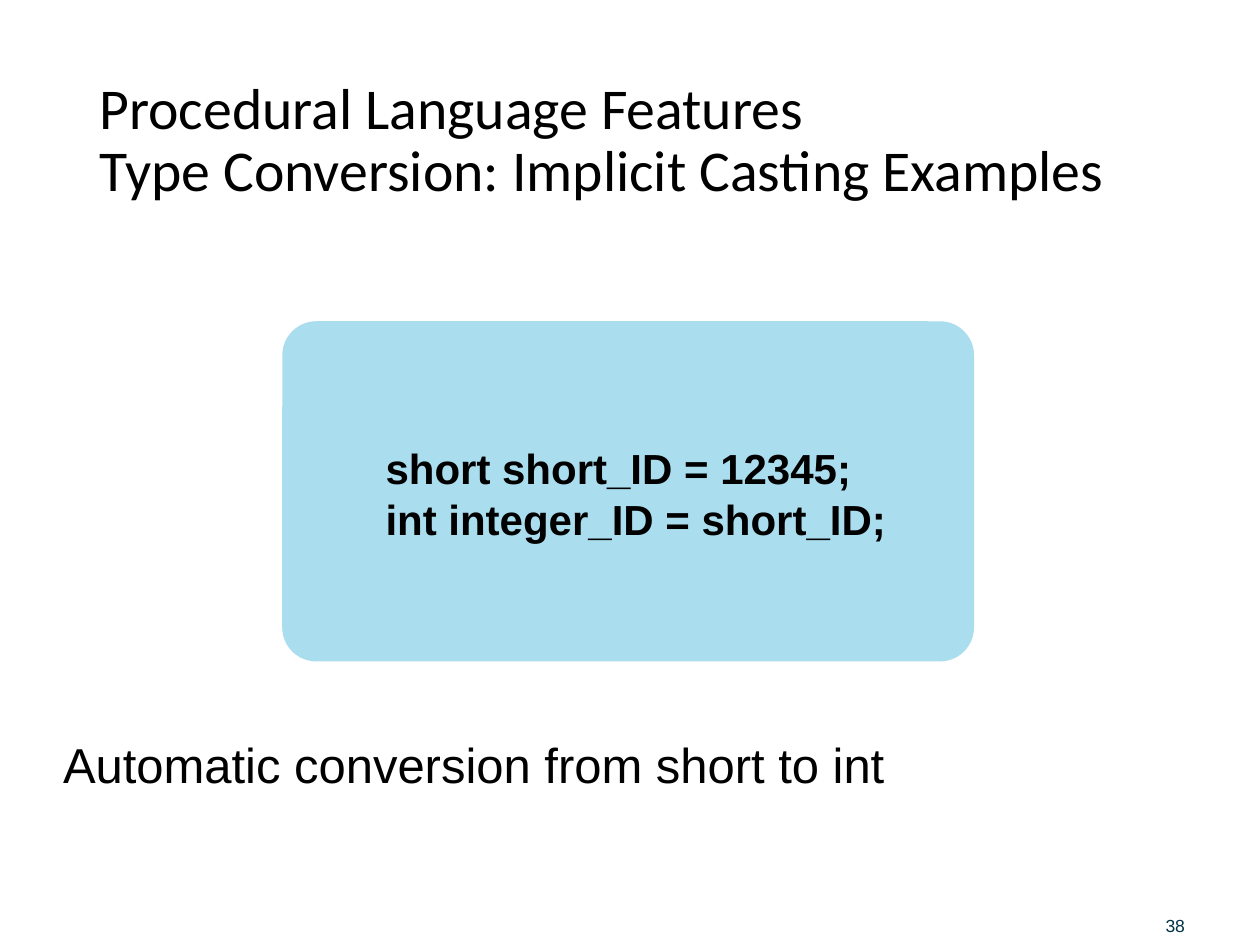
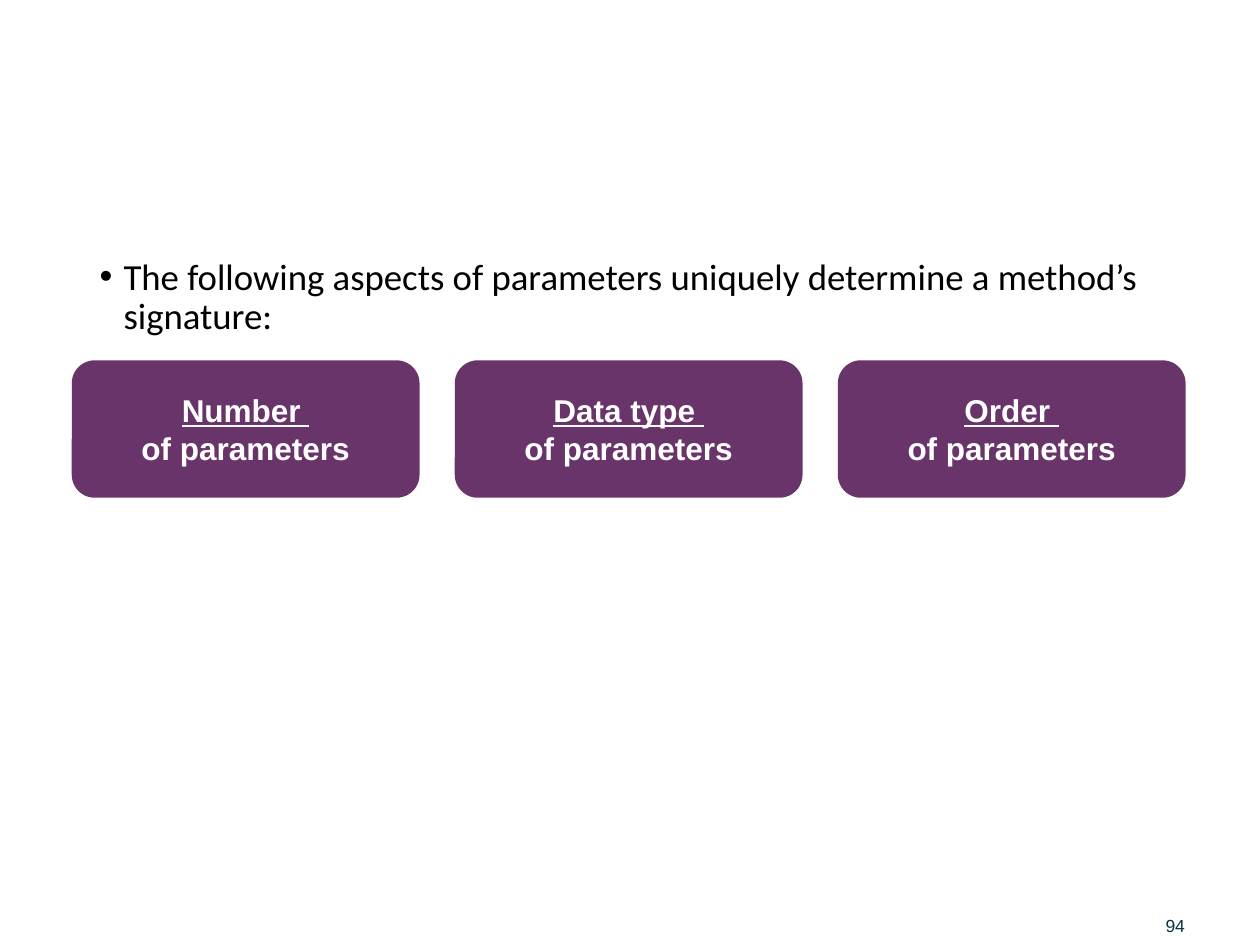
import pptx
import pptx.dml.color
import pptx.enum.shapes
import pptx.enum.text
import pptx.oxml
import pptx.oxml.ns
import pptx.util

# Content
CASTING = {
    "title": "Procedural Language Features\vType Conversion: Implicit Casting Examples",
    "code": ["short short_ID = 12345;", "int integer_ID = short_ID;"],
    "caption": "Automatic conversion from short to int",
    "number": "38",
}
SIGNATURE = {
    "lead": "The following aspects of parameters uniquely determine a method’s signature:",
    "aspects": ["Number ", "Data type ", "Order "],
    "aspect_of": "of parameters",
    "number": "94",
}

# Shared look
COLORS = {"text": "000000", "code": "AADDEE", "card": "440244",
          "card_text": "FFFFFF", "number": "003344"}
HEADING_FONT, TEXT_FONT = "Calibri", "Arial"
CARD_OPACITY = 80
EMU_PER_PX = 9144  # 100 px to the inch

# Places in px: left, top, width, height
TITLE_BOX = (69, 40, 862, 145)
BODY_BOX = (69, 200, 862, 476)
CODE_PANEL = (224, 255, 549, 270)
CODE_BOX = (297, 272, 454, 239)
CAPTION_BOX = (50, 580, 911, 50)
NUMBER_BOX = (925, 715, 69, 28)
FIRST_CARD = (57, 286, 276, 109)
CARD_STEP = 304

ANCHOR = pptx.enum.text.MSO_ANCHOR
ALIGN = pptx.enum.text.PP_ALIGN
PRESET = pptx.enum.shapes.MSO_SHAPE


def px(length):
    return pptx.util.Emu(length * EMU_PER_PX)


def rgb(name):
    return pptx.dml.color.RGBColor.from_string(COLORS[name])


def write(frame, lines, size, font=TEXT_FONT, color="text", bold=False,
          align=ALIGN.LEFT, anchor=ANCHOR.MIDDLE, inset=None):
    frame.text = "\n".join(lines)
    frame.word_wrap = True
    frame.auto_size = pptx.enum.text.MSO_AUTO_SIZE.NONE
    frame.vertical_anchor = anchor
    if inset is not None:
        frame.margin_left = frame.margin_top = px(inset)
        frame.margin_right = frame.margin_bottom = px(inset)
    for paragraph in frame.paragraphs:
        paragraph.alignment = align
        paragraph.font.name = font
        paragraph.font.size = pptx.util.Pt(size)
        paragraph.font.bold = bold
        paragraph.font.color.rgb = rgb(color)


def fill_placeholder(placeholder, box, text, size, anchor):
    placeholder.left, placeholder.top, placeholder.width, placeholder.height = map(px, box)
    write(placeholder.text_frame, [text], size, HEADING_FONT, anchor=anchor)
    paragraph = placeholder.text_frame.paragraphs[0]
    paragraph.line_spacing = 0.9
    return paragraph


def add_panel(shapes, preset, box, color):
    panel = shapes.add_shape(preset, *map(px, box))
    panel.shadow.inherit = False
    panel.fill.solid()
    panel.fill.fore_color.rgb = rgb(color)
    panel.line.fill.background()
    return panel


def add_label(slide, box, text, size, color="text"):
    label = slide.shapes.add_textbox(*map(px, box))
    write(label.text_frame, [text], size, color=color, anchor=ANCHOR.BOTTOM, inset=0)


def add_number(slide, number):
    add_label(slide, NUMBER_BOX, number, 10, "number")


def build_casting(deck):
    slide = deck.slides.add_slide(deck.slide_layouts.get_by_name("Title Only"))
    fill_placeholder(slide.shapes.title, TITLE_BOX, CASTING["title"], 33, ANCHOR.MIDDLE)

    # Code panel
    example = slide.shapes.add_group_shape()
    backing = add_panel(example.shapes, PRESET.ROUNDED_RECTANGLE, CODE_PANEL, "code")
    backing.adjustments[0] = 0.1
    code = add_panel(example.shapes, PRESET.RECTANGLE, CODE_BOX, "code")
    write(code.text_frame, CASTING["code"], 24, bold=True, inset=9)

    add_label(slide, CAPTION_BOX, CASTING["caption"], 28)
    add_number(slide, CASTING["number"])


def build_signature(deck):
    slide = deck.slides.add_slide(deck.slide_layouts.get_by_name("Title and Content"))
    title = slide.shapes.title.element
    title.getparent().remove(title)

    # Lead bullet
    lead = fill_placeholder(slide.placeholders[1], BODY_BOX, SIGNATURE["lead"], 21, ANCHOR.TOP)
    lead.space_before = pptx.util.Pt(7.5)
    properties = lead._p.get_or_add_pPr()
    properties.set("marL", str(px(19)))
    properties.set("indent", str(px(-19)))

    # Aspect cards
    left, top, width, height = FIRST_CARD
    for i, aspect in enumerate(SIGNATURE["aspects"]):
        box = (left + i * CARD_STEP, top, width, height)
        card = add_panel(slide.shapes, PRESET.ROUNDED_RECTANGLE, box, "card")
        tint = card.fill._xPr.find(".//" + pptx.oxml.ns.qn("a:srgbClr"))
        alpha = tint.makeelement(pptx.oxml.ns.qn("a:alpha"), {"val": str(CARD_OPACITY * 1000)})
        tint.append(alpha)
        write(card.text_frame, [aspect, SIGNATURE["aspect_of"]], 18,
              color="card_text", bold=True, align=ALIGN.CENTER)
        card.text_frame.paragraphs[0].font.underline = True

    add_number(slide, SIGNATURE["number"])


def main():
    deck = pptx.Presentation()
    deck.slide_width, deck.slide_height = px(1000), px(750)
    build_casting(deck)
    build_signature(deck)
    deck.save("out.pptx")


if __name__ == "__main__":
    main()
